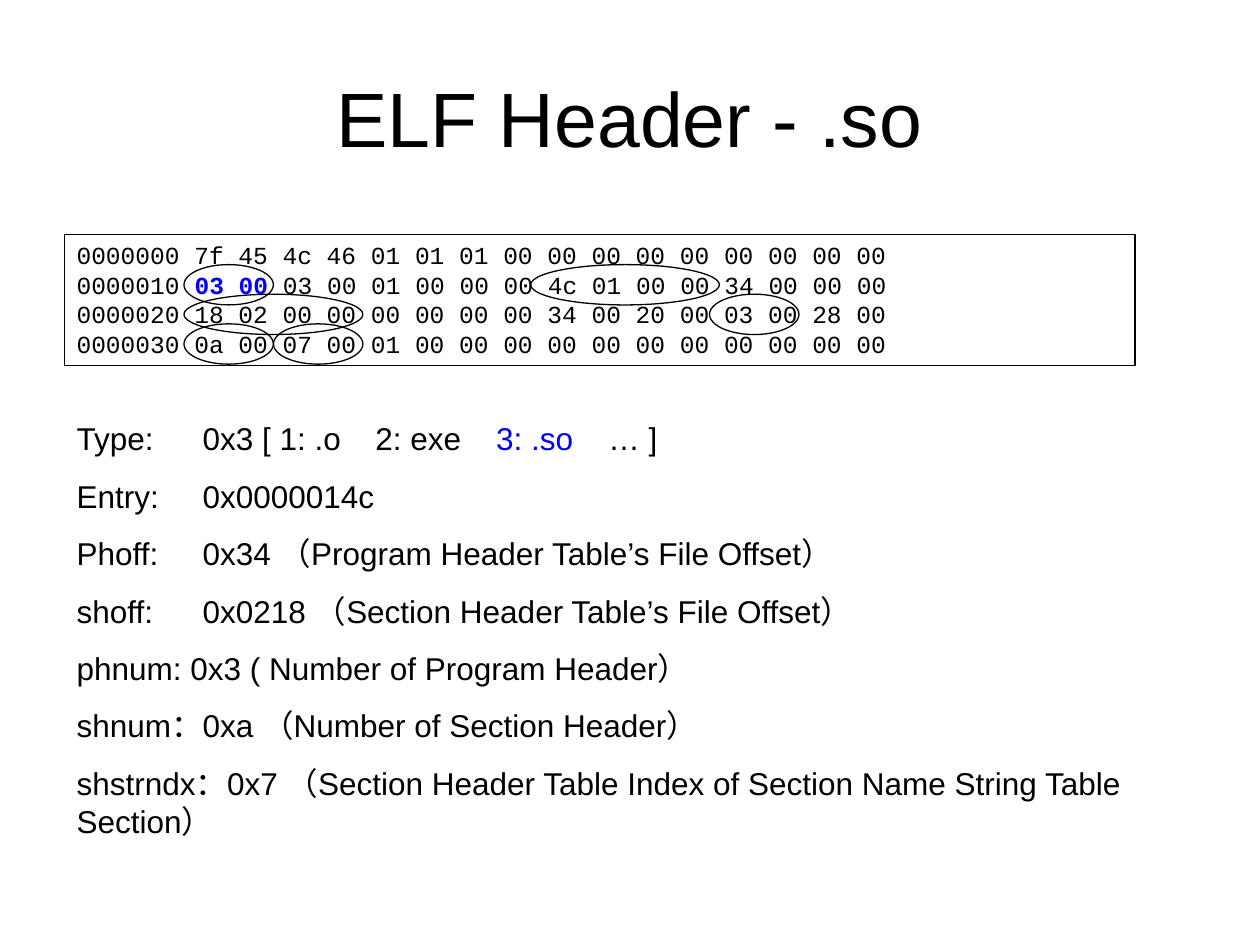
from lxml.etree import SubElement
from pptx import Presentation
from pptx.dml.color import RGBColor
from pptx.enum.shapes import MSO_SHAPE as Shape
from pptx.enum.text import MSO_ANCHOR as Anchor, PP_ALIGN as Align
from pptx.oxml.ns import qn
from pptx.util import Inches, Pt

BLACK, BLUE = "000000", "0000FF"
LEFT = 0.51
BYTE_LEFT, BYTE_TOP = 1.46, 2.1
BYTE_PITCH, ROW_PITCH, RING_HEIGHT = 0.355, 0.235, 0.32
TITLE = {"size": Pt(44), "name": "Arial"}
CODE = {"size": Pt(14), "name": "Courier New"}
BODY = {"size": Pt(18), "name": "Arial"}

DUMP = [
    ["0000000 7f 45 4c 46 01 01 01 00 00 00 00 00 00 00 00 00"],
    ["0000010 ", ("03 00", {"bold": True}), " 03 00 01 00 00 00 4c 01 00 00 34 00 00 00"],
    ["0000020 18 02 00 00 00 00 00 00 34 00 20 00 03 00 28 00"],
    ["0000030 0a 00 07 00 01 00 00 00 00 00 00 00 00 00 00 00"],
]
FIELDS = [
    ["Type:\t0x3 [ 1: .o\t2: exe\t", ("3: .so", {}), "\t… ]"],
    ["Entry:\t0x0000014c"],
    ["Phoff:\t0x34 （Program Header Table’s File Offset）"],
    ["shoff:\t0x0218 （Section Header Table’s File Offset）"],
    ["phnum: 0x3 ( Number of Program Header）"],
    ["shnum：0xa （Number of Section Header）"],
    ["shstrndx：0x7 （Section Header Table Index of Section Name String Table Section）"],
]
FIELD_TABS = [1, 2.37, 3.33, 4.22]
RINGS = [
    (7.75, 0, 4.22),
    (11.75, 1, 2),
    (0, 0, 2),
    (0, 1, 4),
    (0, 2, 2),
    (2, 2, 2),
]


def color(value):
    return RGBColor.from_string(value)


def set_values(target, values):
    for name, value in values.items():
        setattr(target, name, value)


def add_tabs(para, stops):
    tab_list = SubElement(para._p.get_or_add_pPr(), qn("a:tabLst"))
    for stop in stops:
        SubElement(tab_list, qn("a:tab"), pos=str(Inches(stop)), algn="l")


def write(box, lines, font, gap=0, align=Align.LEFT, anchor=Anchor.TOP, tabs=()):
    frame = box.text_frame
    set_values(frame, {"word_wrap": True, "vertical_anchor": anchor})
    for index, line in enumerate(lines):
        para = frame.add_paragraph() if index else frame.paragraphs[0]
        set_values(para, {"alignment": align, "space_before": Pt(gap if index else 0)})
        if tabs:
            add_tabs(para, tabs)
        for part in line:
            marked = isinstance(part, tuple)
            text, extra = part if marked else (part, {})
            span = para.add_run()
            span.text = text
            set_values(span.font, font | extra)
            span.font.color.rgb = color(BLUE if marked else BLACK)


def add_text(page, place, lines, font, **layout):
    box = page.shapes.add_textbox(*map(Inches, place))
    write(box, lines, font, **layout)


def add_outline(page, kind, place):
    shape = page.shapes.add_shape(kind, *map(Inches, place))
    shape.shadow.inherit = False
    shape.fill.background()
    shape.line.color.rgb = color(BLACK)
    shape.line.width = Pt(0.75)
    return shape


def add_ring(page, column, row, count):
    place = (
        BYTE_LEFT + column * BYTE_PITCH,
        BYTE_TOP + row * ROW_PITCH,
        count * BYTE_PITCH,
        RING_HEIGHT,
    )
    add_outline(page, Shape.OVAL, place)


def main():
    deck = Presentation()
    set_values(deck, {"slide_width": Inches(10), "slide_height": Inches(7.5)})
    page = deck.slides.add_slide(deck.slide_layouts[6])
    add_text(page, (0.5, 0.3, 9, 1.25), [["ELF Header - .so"]], TITLE,
             align=Align.CENTER, anchor=Anchor.MIDDLE)
    write(add_outline(page, Shape.RECTANGLE, (LEFT, 1.86, 8.5, 1.04)), DUMP, CODE)
    add_text(page, (LEFT, 3.28, 8.98, 3.44), FIELDS, BODY, gap=11.2, tabs=FIELD_TABS)
    for ring in RINGS:
        add_ring(page, *ring)
    deck.save("out.pptx")


if __name__ == "__main__":
    main()
